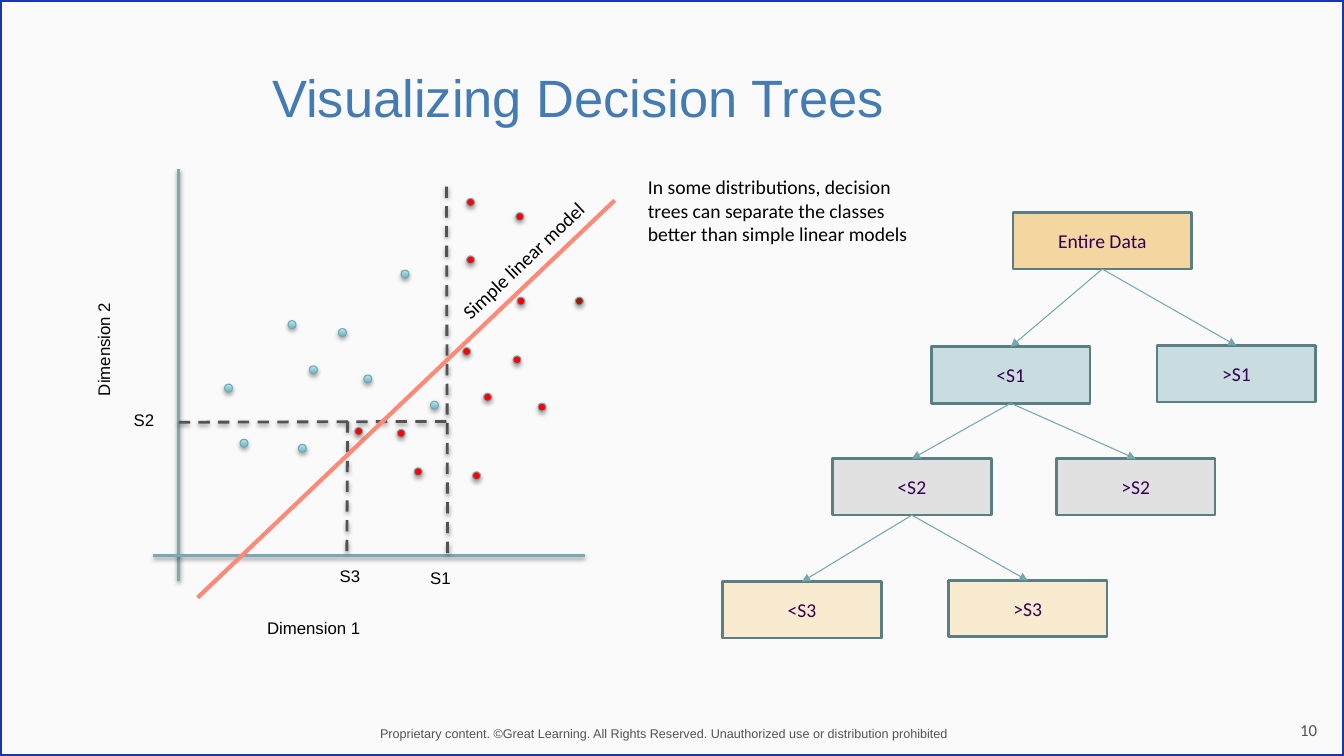
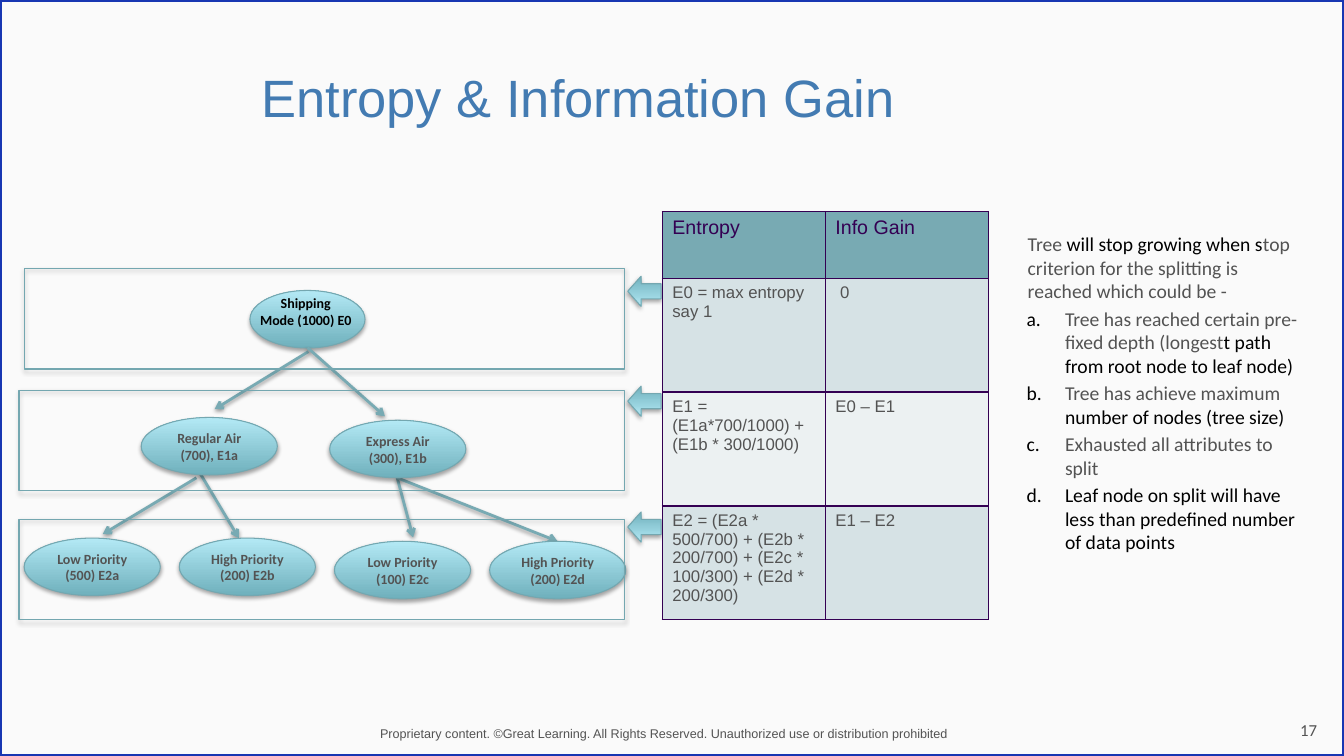
from dataclasses import dataclass

from lxml.etree import SubElement
from pptx import Presentation
from pptx.dml.color import RGBColor
from pptx.enum.dml import MSO_LINE
from pptx.enum.shapes import MSO_CONNECTOR, MSO_SHAPE
from pptx.enum.text import MSO_ANCHOR, PP_ALIGN
from pptx.oxml.ns import qn
from pptx.util import Cm, Pt


@dataclass(frozen=True)
class Style:
    """Describe how a piece of text looks."""
    size: float
    font: str
    color: str
    bold: bool = False
    align: PP_ALIGN = PP_ALIGN.LEFT


@dataclass(frozen=True)
class Theme:
    """Hold the colours and text styles of the deck."""
    paper: str = "FAFAFA"
    frame: str = "1836B2"
    black: str = "000000"
    gray: str = "535353"
    purple: str = "340053"
    teal: str = "78AAB3"
    outline: str = "74A7B0"
    node_line: str = "597E84"
    coral: str = "FD8978"
    red: str = "FF0000"
    dark_red: str = "A61702"
    sand: str = "F4D7A0"
    cream: str = "F9EBCF"
    ice: str = "C9DDE1"
    silver: str = "E1E1E1"
    bands: tuple = ("D6E2E5", "ECF1F2")
    gradient: tuple = ("6FB0BC", "B3E9F5")
    title: Style = Style(37.5, "Arial", "437BB2", align=PP_ALIGN.CENTER)
    footer: Style = Style(9, "Arial", gray)
    number: Style = Style(12, "Calibri", gray, align=PP_ALIGN.CENTER)
    label: Style = Style(12, "Arial", black)
    note: Style = Style(14, "Calibri", black)
    node: Style = Style(14, "Calibri", purple, align=PP_ALIGN.CENTER)
    oval: Style = Style(10, "Calibri", gray, True, PP_ALIGN.CENTER)
    root: Style = Style(10, "Calibri", black, True, PP_ALIGN.CENTER)
    header: Style = Style(14, "Arial", purple)
    cell: Style = Style(12, "Arial", gray)


THEME = Theme()
FOOTER = ("Proprietary content. ©Great Learning. All Rights Reserved. "
          "Unauthorized use or distribution prohibited")


def rgb(color):
    """Turn a hexadecimal colour into an RGBColor."""
    return RGBColor.from_string(color)


def add_span(para, text, style, color=None):
    """Add one run of text to a paragraph."""
    span = para.add_run()
    span.text = text
    span.font.size = Pt(style.size)
    span.font.name = style.font
    span.font.bold = style.bold
    span.font.color.rgb = rgb(color or style.color)


def write(frame, style, *lines):
    """Write each line as a paragraph of a text frame."""
    for index, line in enumerate(lines):
        para = frame.add_paragraph() if index else frame.paragraphs[0]
        para.alignment = style.align
        add_span(para, line, style)


def set_inset(frame, inset):
    """Give a text frame the same inset on every side."""
    frame.margin_left = frame.margin_right = Cm(inset)
    frame.margin_top = frame.margin_bottom = Cm(inset)


def add_text(page, area, style, *lines, anchor=MSO_ANCHOR.TOP, inset=None, turn=0):
    """Add a wrapping text box."""
    box = page.shapes.add_textbox(*map(Cm, area))
    box.rotation = turn
    box.text_frame.word_wrap = True
    box.text_frame.vertical_anchor = anchor
    if inset is not None:
        set_inset(box.text_frame, inset)
    write(box.text_frame, style, *lines)
    return box


def add_shadow(item, alpha, distance):
    """Cast a soft shadow straight down."""
    properties = item._element.spPr
    effects = properties.find(qn("a:effectLst"))
    if effects is None:
        effects = SubElement(properties, qn("a:effectLst"))
    shade = SubElement(effects, qn("a:outerShdw"), blurRad=str(Pt(3.1)),
                       dist=str(Pt(distance)), dir="5400000", rotWithShape="0")
    color = SubElement(shade, qn("a:srgbClr"), val=THEME.black)
    SubElement(color, qn("a:alpha"), val=str(alpha * 1000))


def add_box(page, kind, area, fill, line, width, shadow=False):
    """Add a preset shape with a plain, gradient or empty fill."""
    box = page.shapes.add_shape(kind, *map(Cm, area))
    box.shadow.inherit = False
    if fill is None:
        box.fill.background()
    elif isinstance(fill, tuple):
        box.fill.gradient()
        box.fill.gradient_angle = 90
        for stop, color in zip(box.fill.gradient_stops, fill):
            stop.color.rgb = rgb(color)
    else:
        box.fill.solid()
        box.fill.fore_color.rgb = rgb(fill)
    box.line.color.rgb = rgb(line)
    box.line.width = Pt(width)
    if shadow:
        add_shadow(box, 35, 1.8)
    return box


def add_line(page, ends, color, width, dash=None, head=None, shadow=False):
    """Add a straight line, with an arrowhead at its end if asked."""
    line = page.shapes.add_connector(MSO_CONNECTOR.STRAIGHT, *map(Cm, ends))
    line.line.color.rgb = rgb(color)
    line.line.width = Pt(width)
    if dash:
        line.line.dash_style = dash
    if head:
        SubElement(line.line._get_or_add_ln(), qn("a:tailEnd"), type=head)
    SubElement(line._element.spPr, qn("a:effectLst"))
    if shadow:
        add_shadow(line, 38, 1.6)
    return line


def add_node(page, left, top, text, fill, width=4):
    """Add a labelled rectangle of the decision tree."""
    node = add_box(page, MSO_SHAPE.RECTANGLE, (left, top, width, 1.42),
                   fill, THEME.node_line, 2)
    node.text_frame.vertical_anchor = MSO_ANCHOR.MIDDLE
    write(node.text_frame, THEME.node, text)
    return node


def link(page, parent, child):
    """Join the bottom of a parent node to the top of its child."""
    line = add_line(page, (0, 0, 1, 1), THEME.outline, 0.75, head="triangle")
    line.begin_connect(parent, 2)
    line.end_connect(child, 0)


def add_dots(page, places, fill):
    """Scatter small dots of one colour."""
    for place in places:
        add_box(page, MSO_SHAPE.OVAL, (*place, 0.2, 0.2), fill,
                THEME.outline, 0.75, shadow=True)


def add_oval(page, left, top, text=None, width=3.43):
    """Add a shaded oval, with a label if given."""
    oval = add_box(page, MSO_SHAPE.OVAL, (left, top, width, 1.45),
                   THEME.gradient, THEME.outline, 0.75, shadow=True)
    if text:
        set_inset(oval.text_frame, 0.2)
        oval.text_frame.vertical_anchor = MSO_ANCHOR.MIDDLE
        write(oval.text_frame, THEME.oval, text)


def add_page(deck, title, number):
    """Add a page with its frame, footer, number and title."""
    page = deck.slides.add_slide(deck.slide_layouts[6])
    add_text(page, (9.45, 18.16, 14.96, 0.64), THEME.footer, FOOTER, inset=0.13)
    add_box(page, MSO_SHAPE.RECTANGLE, (0, 0, 33.87, 19.05), None, THEME.frame, 2.25)
    add_text(page, (32.49, 18.06, 0.98, 0.66), THEME.number, number,
             anchor=MSO_ANCHOR.BOTTOM, inset=0.08)
    box = add_text(page, (1.22, 1.88, 26.72, 1.42), THEME.title, title,
                   anchor=MSO_ANCHOR.MIDDLE, inset=0.08)
    box.text_frame.paragraphs[0].line_spacing = 0.8
    return page


def draw_scatter(page):
    """Draw the axes, splits, linear model and data points."""
    for ends in ((4.5, 4.27, 4.5, 14.63), (14.73, 14, 3.86, 14)):
        add_line(page, ends, THEME.teal, 2, shadow=True)
    for ends in ((11.25, 4.7, 11.28, 14), (11.25, 10.62, 4.5, 10.64),
                 (8.76, 10.62, 8.74, 14.07)):
        add_line(page, ends, THEME.gray, 2, dash=MSO_LINE.DASH, shadow=True)
    for text, left, top, width, turn in (
            ("S1", 10.59, 14.17, 1.32, 0), ("S2", 3.12, 10.21, 1.32, 0),
            ("S3", 8.31, 14.12, 1.32, 0), ("Dimension 1", 6.48, 15.44, 3.18, 0),
            ("Dimension 2", 1.02, 8.26, 3.18, 270)):
        add_text(page, (left, top, width, 0.76), THEME.label, text, turn=turn)
    add_line(page, (4.98, 15.06, 15.49, 5.05), THEME.coral, 3)
    add_text(page, (10.85, 5.92, 5.13, 0.86), THEME.note, "Simple linear model", turn=316.5)
    add_dots(page, ((7.26, 8.08), (8.53, 8.28), (7.8, 9.22), (9.17, 9.45), (5.66, 9.68),
                    (10.11, 6.81), (6.05, 11.07), (7.52, 11.2), (10.85, 10.11)),
             THEME.gradient)
    add_dots(page, ((11.66, 8.76), (12.93, 8.97), (12.19, 9.91), (13.56, 10.16),
                    (10.44, 11.79), (11.91, 11.89), (10.01, 10.82), (11.76, 6.45),
                    (13, 5.36), (11.76, 5), (13.03, 7.49), (8.94, 10.77)), THEME.red)
    add_dots(page, ((14.5, 7.49),), THEME.dark_red)


def draw_tree(page):
    """Draw the decision tree, splitting the left node at each level."""
    parent = add_node(page, 25.53, 5.36, "Entire Data", THEME.sand, 4.5)
    for name, fill, left, right in (
            ("S1", THEME.ice, (23.47, 8.74), (29.16, 8.71)),
            ("S2", THEME.silver, (20.98, 11.56), (26.62, 11.56)),
            ("S3", THEME.cream, (18.21, 14.66), (23.9, 14.63))):
        below = add_node(page, *left, "<" + name, fill)
        above = add_node(page, *right, ">" + name, fill)
        link(page, parent, below)
        link(page, parent, above)
        parent = below


def draw_shipping_tree(page):
    """Draw the three levels of the shipping tree."""
    add_oval(page, 6.3, 7.32, width=2.9)
    add_text(page, (5.99, 7.29, 3.43, 1.12), THEME.root, "Shipping", "Mode (1000) E0")
    for ends in ((7.77, 8.86, 5.41, 10.31), (7.75, 8.76, 9.7, 10.49),
                 (4.95, 12.04, 2.59, 13.46), (5.05, 11.94, 6.02, 13.56),
                 (10.01, 12.04, 10.41, 13.54), (10.01, 12.04, 14.05, 13.64)):
        add_line(page, ends, THEME.teal, 2, head="arrow", shadow=True)
    add_oval(page, 3.56, 10.52, "Regular Air (700), E1a")
    add_oval(page, 8.31, 10.59, "Express Air (300), E1b")
    leaves = ("Low Priority (500) E2a", "High Priority (200) E2b",
              "Low Priority (100) E2c", "High Priority (200) E2d")
    for index, text in enumerate(leaves):
        add_oval(page, 0.61 + 3.91 * index, 13.56 if index < 2 else 13.64, text)
    for left, top, arrow_top in ((0.61, 6.76, 6.96), (0.48, 9.83, 9.73), (0.48, 13.08, 12.9)):
        add_box(page, MSO_SHAPE.RECTANGLE, (left, top, 15.75 - left, 2.54), None,
                THEME.outline, 0.75, shadow=True)
        arrow = add_box(page, MSO_SHAPE.RIGHT_ARROW, (15.82, arrow_top, 0.84, 0.76),
                        THEME.gradient, THEME.outline, 0.75, shadow=True)
        arrow.rotation = 180
        arrow.adjustments[1] = 0.44


def set_borders(cell):
    """Draw a thin line on all sides of a cell."""
    for side in ("lnL", "lnR", "lnT", "lnB"):
        edge = SubElement(cell._tc.get_or_add_tcPr(), qn("a:" + side), w=str(Pt(1)))
        fill = SubElement(edge, qn("a:solidFill"))
        SubElement(fill, qn("a:srgbClr"), val=THEME.purple)


def draw_table(page):
    """Add the table of entropy and information gain."""
    rows = (("Entropy", "Info Gain"),
            ("E0 = max entropy say 1", " 0"),
            ("E1 = (E1a*700/1000) + (E1b * 300/1000)", "E0 – E1"),
            ("E2 = (E2a * 500/700) + (E2b * 200/700) + (E2c * 100/300) + (E2d * 200/300)",
             "E1 – E2"))
    area = (16.69, 5.33, 8.22, 10.29)
    table = page.shapes.add_table(len(rows), 2, *map(Cm, area)).table
    table.horz_banding = False
    for index, texts in enumerate(rows):
        table.rows[index].height = Cm(2.87 if index else 1.68)
        fill = THEME.bands[(index - 1) % 2] if index else THEME.teal
        for column, text in enumerate(texts):
            cell = table.cell(index, column)
            set_borders(cell)
            cell.fill.solid()
            cell.fill.fore_color.rgb = rgb(fill)
            write(cell.text_frame, THEME.cell if index else THEME.header, text)


def set_letter(para):
    """Number a paragraph with a hanging letter."""
    properties = para._p.get_or_add_pPr()
    properties.set("indent", str(Cm(-0.97)))
    color = SubElement(properties, qn("a:buClr"))
    SubElement(color, qn("a:srgbClr"), val=THEME.black)
    SubElement(properties, qn("a:buFont"), typeface=THEME.note.font)
    SubElement(properties, qn("a:buAutoNum"), type="alphaLcPeriod")


def draw_criteria(page):
    """List the criteria that stop the tree from growing."""
    gray, black = THEME.gray, THEME.black
    lines = (
        (("Tree ", gray), ("will stop growing when s", black),
         ("top criterion for the splitting is reached which could be -", gray)),
        (("Tree has reached certain pre-fixed depth (longest", gray),
         ("t path from root node to leaf node)", black)),
        (("Tree has achieve maximum", gray), (" number of nodes (tree size)", black)),
        (("Exhausted all attributes to split", gray),),
        (("Leaf node on split will have less than predefined number of data points", black),))
    frame = page.shapes.add_textbox(*map(Cm, (24.23, 5.72, 8.74, 9.83))).text_frame
    frame.word_wrap = True
    for index, spans in enumerate(lines):
        para = frame.add_paragraph() if index else frame.paragraphs[0]
        para._p.get_or_add_pPr().set("marL", str(Cm(2.36 if index else 1.42)))
        if index:
            set_letter(para)
            para.space_before = Pt(2.8)
        for text, color in spans:
            add_span(para, text, THEME.note, color)


def main():
    """Build the deck and save it."""
    deck = Presentation()
    deck.slide_width, deck.slide_height = Cm(33.87), Cm(19.05)
    backdrop = deck.slide_master.background.fill
    backdrop.solid()
    backdrop.fore_color.rgb = rgb(THEME.paper)
    page = add_page(deck, "Visualizing Decision Trees", "10")
    draw_scatter(page)
    draw_tree(page)
    add_text(page, (16.08, 4.29, 7.11, 2.06), THEME.note,
             "In some distributions, decision trees can separate the classes "
             "better than simple linear models")
    page = add_page(deck, "Entropy & Information Gain", "17")
    draw_shipping_tree(page)
    draw_table(page)
    draw_criteria(page)
    deck.save("out.pptx")


if __name__ == "__main__":
    main()
